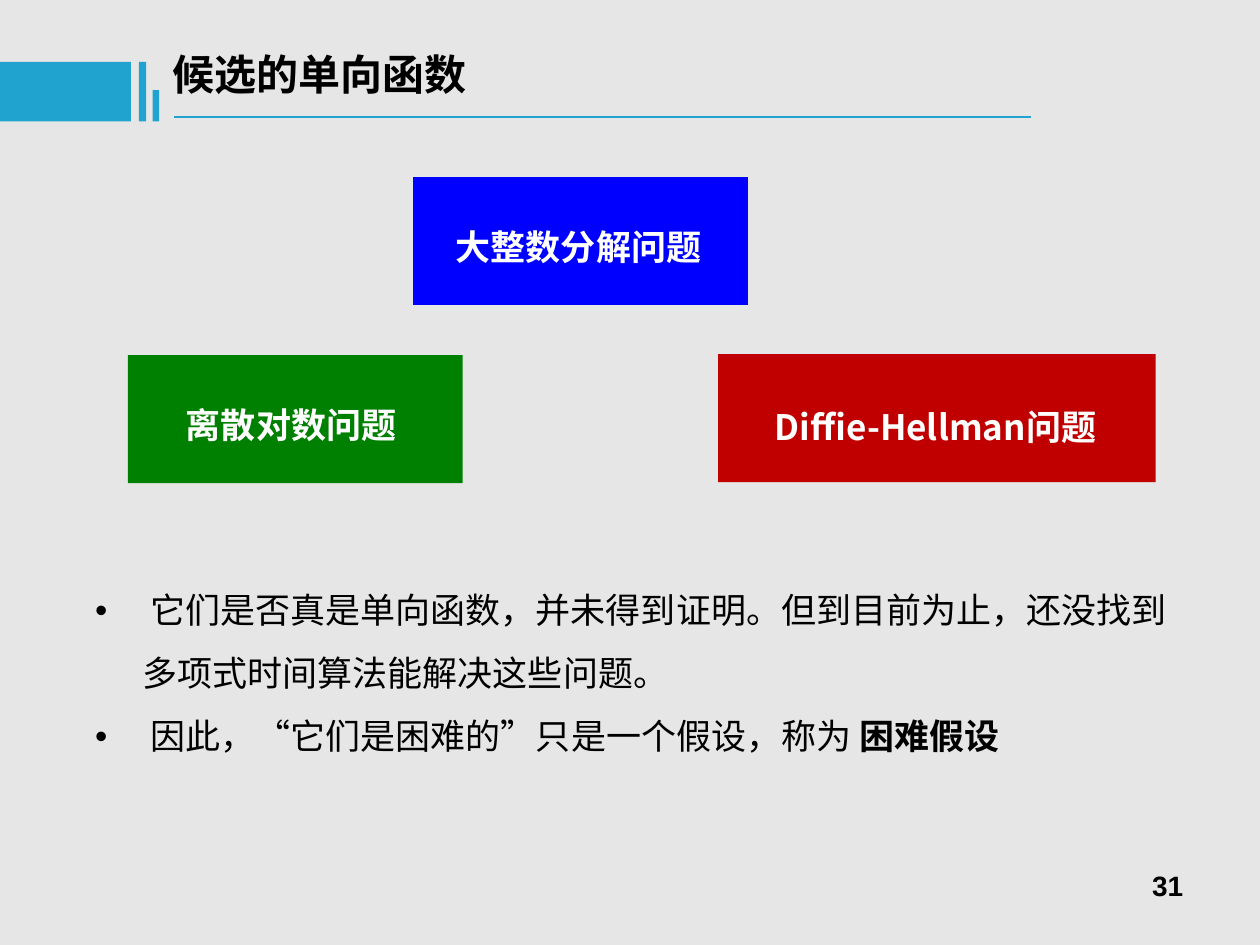
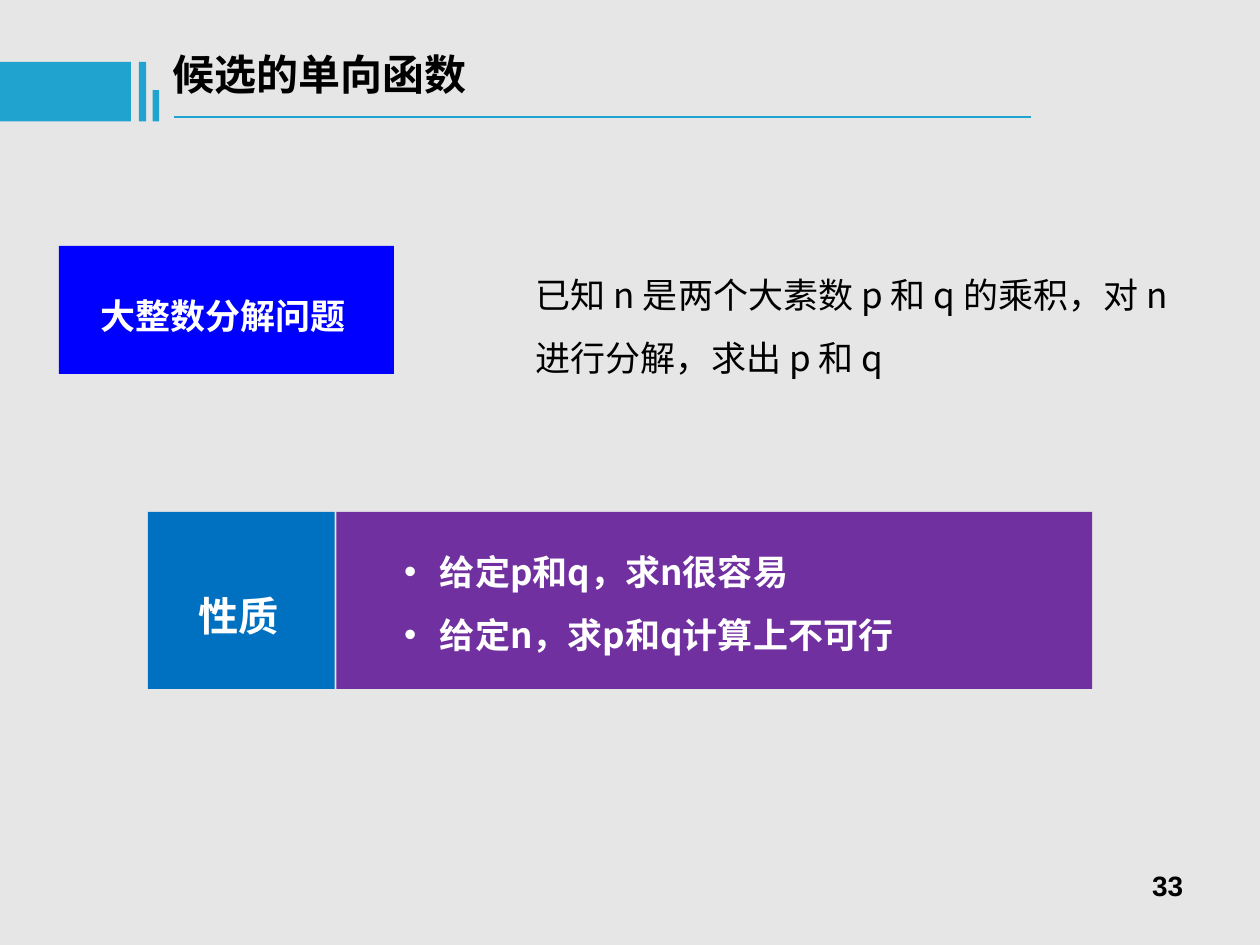
from lxml import etree
from pptx import Presentation
from pptx.dml.color import RGBColor
from pptx.enum.shapes import MSO_CONNECTOR, MSO_SHAPE
from pptx.enum.text import MSO_ANCHOR, MSO_AUTO_SIZE, PP_ALIGN
from pptx.oxml.ns import qn
from pptx.util import Cm, Pt

RECTANGLE = MSO_SHAPE.RECTANGLE
STRAIGHT = MSO_CONNECTOR.STRAIGHT
TOP = MSO_ANCHOR.TOP
FIXED = MSO_AUTO_SIZE.NONE
LEFT, RIGHT = PP_ALIGN.LEFT, PP_ALIGN.RIGHT

COLOURS = {
    "background": "E7E6E6", "band": "21A3D0", "ink": "000000", "white": "FFFFFF",
    "factoring": "0000FF", "logarithm": "008000", "diffie": "C00000",
    "property": "0070C0", "facts": "7030A0",
}
CJK = "Noto Sans CJK SC"
LATIN = "Arial"
TITLE = "候选的单向函数"
FACTORING = "大整数分解问题"


def write(frame, paragraphs, size, colour, bold=False, spacing=1.5,
          align=LEFT, bullet=None, insets=(0.28, 0.15, 0.28, 0.15)):
    frame.word_wrap = True
    frame.auto_size = FIXED
    frame.vertical_anchor = TOP
    (frame.margin_left, frame.margin_top,
     frame.margin_right, frame.margin_bottom) = [Cm(inset) for inset in insets]
    for index, runs in enumerate(paragraphs):
        paragraph = frame.add_paragraph() if index else frame.paragraphs[0]
        paragraph.alignment = align
        properties = paragraph._p.get_or_add_pPr()
        margin, hanging = bullet or (0, 0)
        properties.set("marL", str(Cm(margin)))
        properties.set("indent", str(-Cm(hanging)))
        if bullet:
            bullet_colour = etree.SubElement(properties, qn("a:buClr"))
            etree.SubElement(bullet_colour, qn("a:srgbClr"), val=COLOURS[colour])
            etree.SubElement(properties, qn("a:buFont"), typeface=LATIN)
            etree.SubElement(properties, qn("a:buChar"), char="•")
        else:
            etree.SubElement(properties, qn("a:buNone"))
        paragraph.line_spacing = spacing
        paragraph.space_before = paragraph.space_after = Pt(0)
        for text, face, strong in runs:
            run = paragraph.add_run()
            run.text = text
            run.font.size = Pt(size)
            run.font.bold = bold or strong
            run.font.color.rgb = RGBColor.from_string(COLOURS[colour])
            run.font.name = face
            run.font._element.get_or_add_latin().addnext(
                etree.Element(qn("a:ea"), typeface=CJK))


def add_block(slide, box, colour, lines=(), inset=(0, 0), size=20, bullet=None):
    block = slide.shapes.add_shape(RECTANGLE, *[Cm(length) for length in box])
    block.shadow.inherit = False
    block.fill.solid()
    block.fill.fore_color.rgb = RGBColor.from_string(COLOURS[colour])
    block.line.fill.background()
    write(block.text_frame, [[(line, CJK, True)] for line in lines], size, "white",
          bullet=bullet, insets=(*inset, 0, 0))


prs = Presentation()
prs.slide_width, prs.slide_height = Cm(25.4), Cm(19.05)

pages = [
    ("31", (1.4, 11.3, 22.86, 4.37), (1.19, 0.95), [
        [(" 它们是否真是单向函数，并未得到证明。但到目前为止，还没找到多项式时间算法能解决这些问题。", CJK, False)],
        [(" 因此，", CJK, False), ("“", LATIN, False), ("它们是困难的", CJK, False),
         ("”", LATIN, False), ("只是一个假设，称为 ", CJK, False), ("困难假设", CJK, True)],
    ]),
    ("33", (10.52, 4.93, 13.64, 11.4), None, [
        [("已知 n 是两个大素数 p 和 q 的乘积，对 n 进行分解，求出 p 和 q", CJK, False)],
    ]),
]
bands = [(0, 1.25, 2.64, 1.2), (2.8, 1.25, 0.15, 1.2), (3.08, 1.82, 0.13, 0.63)]

slides = []
for number, body_box, bullet, paragraphs in pages:
    slide = prs.slides.add_slide(prs.slide_layouts[1])
    slides.append(slide)
    slide.background.fill.solid()
    slide.background.fill.fore_color.rgb = RGBColor.from_string(COLOURS["background"])

    title = slide.shapes.title
    title.left, title.top, title.width, title.height = Cm(3.23), Cm(0.84), Cm(14.48), Cm(1.27)
    write(title.text_frame, [[(TITLE, CJK, True)]], 24, "ink", spacing=1.0,
          insets=(0.25, 0.13, 0.25, 0.13))

    body = slide.placeholders[1]
    body.left, body.top, body.width, body.height = [Cm(length) for length in body_box]
    write(body.text_frame, paragraphs, 20, "ink", bullet=bullet)

    for band in bands:
        add_block(slide, band, "band")
    rule = slide.shapes.add_connector(STRAIGHT, Cm(3.51), Cm(2.36), Cm(20.78), Cm(2.36))
    rule.line.color.rgb = RGBColor.from_string(COLOURS["band"])
    rule.line.width = Pt(1.5)
    etree.SubElement(rule._element.spPr, qn("a:effectLst"))

    page_number = slide.shapes.add_textbox(Cm(18.21), Cm(17.35), Cm(5.92), Cm(1.32))
    write(page_number.text_frame, [[(number, LATIN, True)]], 16, "ink",
          spacing=1.0, align=RIGHT)

candidates, factoring = slides

add_block(candidates, (2.58, 7.16, 6.75, 2.58), "logarithm", ["离散对数问题"], (1.17, 0.56))
add_block(candidates, (8.33, 3.57, 6.75, 2.58), "factoring", [FACTORING], (0.86, 0.56))
add_block(candidates, (14.48, 7.14, 8.82, 2.58), "diffie", ["Diffie-Hellman问题"], (1.14, 0.61))

add_block(factoring, (1.19, 4.96, 6.75, 2.58), "factoring", [FACTORING], (0.84, 0.56))
add_block(factoring, (6.78, 10.32, 15.24, 3.57), "facts",
          [" 给定p和q，求n很容易", " 给定n，求p和q计算上不可行"], (1.37, 0.36),
          bullet=(0.56, 0.56))
add_block(factoring, (2.98, 10.32, 3.77, 3.57), "property", ["性质"], (1.02, 1.12), size=23)

prs.save("out.pptx")
